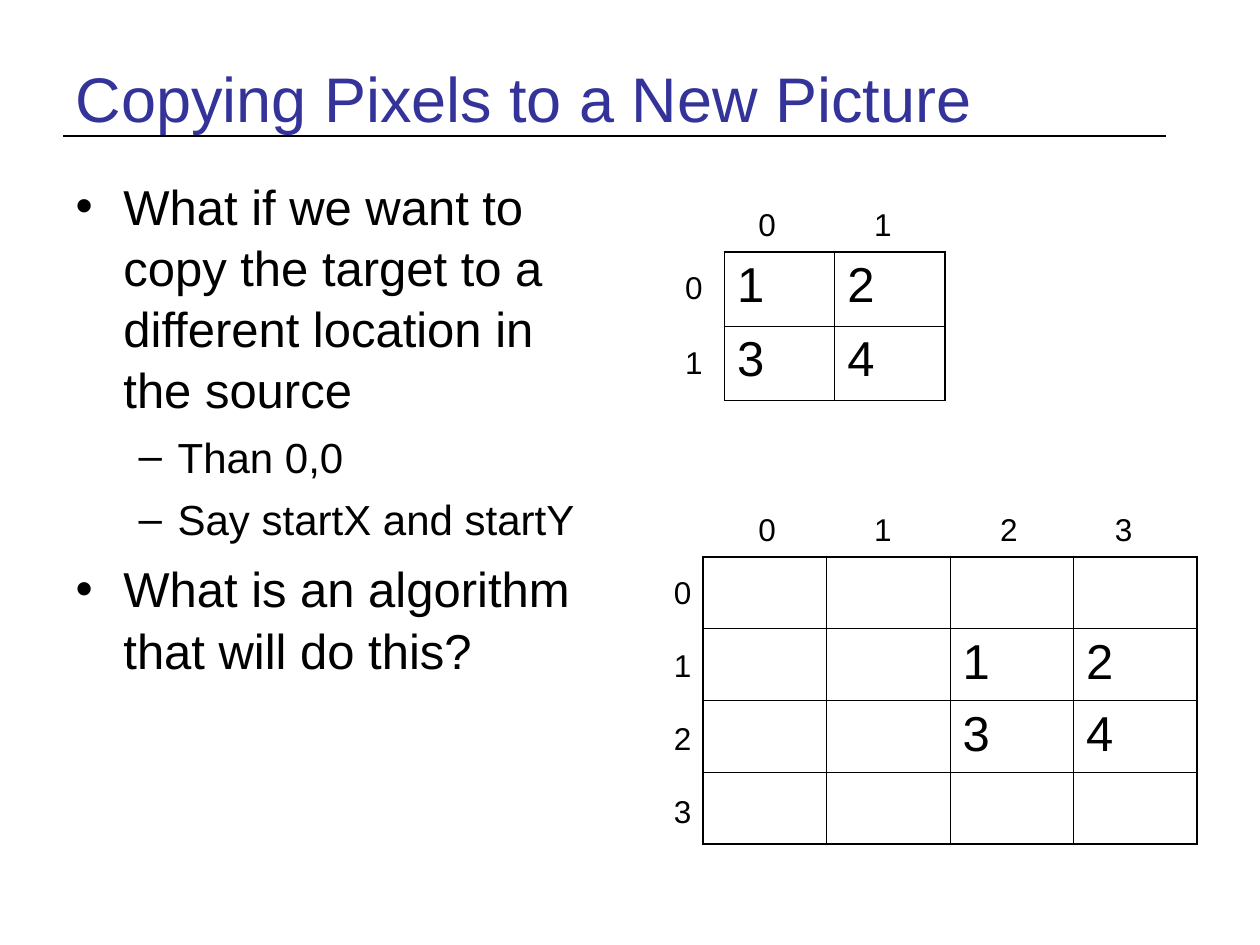
"""Build a slide on copying pixels to a new location."""
import dataclasses

import lxml.etree
import pptx
import pptx.dml.color
import pptx.enum.shapes
import pptx.enum.text
import pptx.oxml.ns
import pptx.util

Inches = pptx.util.Inches
qn = pptx.oxml.ns.qn
BLACK = "000000"
INNER, OUTER = 0.45, 1.08


@dataclasses.dataclass(frozen=True)
class Grid:
    left: float
    top: float
    cell_w: float
    cell_h: float
    rows: list[list[str]]
    col_label_xs: list[float]
    col_label_y: float
    row_label_x: float
    row_label_y: float
    row_label_step: float


@dataclasses.dataclass(frozen=True)
class Bullet:
    text: str
    level: int = 0


@dataclasses.dataclass(frozen=True)
class LevelStyle:
    size: int
    margin: float
    hanging: float
    space: int


GRIDS = [
    Grid(5.75, 2, 0.875, 0.59, [["1", "2"], ["3", "4"]],
         [5.92, 6.84], 1.58, 5.34, 2.08, 0.59),
    Grid(5.58, 4.42, 0.98, 0.57,
         [[""] * 4, ["", "", "1", "2"], ["", "", "3", "4"], [""] * 4],
         [5.92, 6.84, 7.84, 8.75], 4, 5.25, 4.5, 0.58),
]
LEVELS = [LevelStyle(28, 0.38, 0.38, 7), LevelStyle(24, 0.81, 0.31, 6)]
BULLETS = [
    Bullet("What if we want to copy the target to a different location in the source"),
    Bullet("Than 0,0", 1),
    Bullet("Say startX and startY", 1),
    Bullet("What is an algorithm that will do this?"),
]


def rgb(value: str) -> pptx.dml.color.RGBColor:
    return pptx.dml.color.RGBColor.from_string(value)


def apply(target, formats: dict) -> None:
    for name, value in formats.items():
        setattr(target, name, value)


def write(p, text: str, size: int, color: str = BLACK) -> None:
    r = p.add_run()
    r.text = text
    apply(r.font, {"name": "Arial", "size": pptx.util.Pt(size)})
    r.font.color.rgb = rgb(color)


def place(sp, left: float, top: float, width: float, height: float) -> None:
    apply(sp, {"left": Inches(left), "top": Inches(top),
               "width": Inches(width), "height": Inches(height)})


def add_title(s, text: str) -> None:
    sp = s.shapes.title
    place(sp, 0.5, 0.3, 9, 0.95)
    tf = sp.text_frame
    apply(tf, {"auto_size": pptx.enum.text.MSO_AUTO_SIZE.NONE,
               "vertical_anchor": pptx.enum.text.MSO_ANCHOR.MIDDLE})
    p = tf.paragraphs[0]
    p.alignment = pptx.enum.text.PP_ALIGN.LEFT
    write(p, text, 36, "333399")


def add_rule(s) -> None:
    sp = s.shapes.add_connector(pptx.enum.shapes.MSO_CONNECTOR.STRAIGHT,
                                Inches(0.5), Inches(1.08), Inches(9.25), Inches(1.08))
    sp.line.color.rgb = rgb(BLACK)
    sp.line.width = pptx.util.Pt(1.5)
    lxml.etree.SubElement(sp._element.spPr, qn("a:effectLst"))


def add_bullets(s, bullets: list[Bullet]) -> None:
    sp = s.placeholders[1]
    place(sp, 0.5, 1.33, 4.42, 5.37)
    tf = sp.text_frame
    tf.auto_size = pptx.enum.text.MSO_AUTO_SIZE.NONE
    for i, bullet in enumerate(bullets):
        p = tf.add_paragraph() if i else tf.paragraphs[0]
        style = LEVELS[bullet.level]
        apply(p, {"level": bullet.level, "line_spacing": 1.04,
                  "space_before": pptx.util.Pt(style.space if i else 0)})
        pPr = p._p.get_or_add_pPr()
        pPr.set("marL", str(Inches(style.margin)))
        pPr.set("indent", str(-Inches(style.hanging)))
        write(p, bullet.text, style.size)


def set_borders(cell, widths: dict[str, float]) -> None:
    tcPr = cell._tc.get_or_add_tcPr()
    for side, width in widths.items():
        ln = lxml.etree.SubElement(tcPr, qn(f"a:ln{side}"), w=str(pptx.util.Pt(width)))
        fill = lxml.etree.SubElement(ln, qn("a:solidFill"))
        lxml.etree.SubElement(fill, qn("a:srgbClr"), val=BLACK)


def add_label(s, text: str, left: float, top: float) -> None:
    sp = s.shapes.add_textbox(Inches(left), Inches(top), Inches(0.34), Inches(0.4))
    tf = sp.text_frame
    apply(tf, {"word_wrap": False,
               "auto_size": pptx.enum.text.MSO_AUTO_SIZE.SHAPE_TO_FIT_TEXT})
    write(tf.paragraphs[0], text, 18)


def add_grid(s, grid: Grid) -> None:
    n_rows, n_cols = len(grid.rows), len(grid.rows[0])
    table = s.shapes.add_table(n_rows, n_cols, Inches(grid.left), Inches(grid.top),
                               Inches(grid.cell_w * n_cols),
                               Inches(grid.cell_h * n_rows)).table
    apply(table, {"first_row": False, "horz_banding": False})
    for i, row in enumerate(grid.rows):
        for j, text in enumerate(row):
            cell = table.cell(i, j)
            edges = {"L": j == 0, "R": j == n_cols - 1,
                     "T": i == 0, "B": i == n_rows - 1}
            set_borders(cell, {k: OUTER if edge else INNER for k, edge in edges.items()})
            cell.fill.background()
            if text:
                write(cell.text_frame.paragraphs[0], text, 28)
    for j, x in enumerate(grid.col_label_xs):
        add_label(s, str(j), x, grid.col_label_y)
    for i in range(n_rows):
        add_label(s, str(i), grid.row_label_x, grid.row_label_y + i * grid.row_label_step)


def main() -> None:
    prs = pptx.Presentation()
    apply(prs, {"slide_width": Inches(10), "slide_height": Inches(7.5)})
    s = prs.slides.add_slide(prs.slide_layouts[1])
    add_rule(s)
    add_title(s, "Copying Pixels to a New Picture")
    add_bullets(s, BULLETS)
    for grid in GRIDS:
        add_grid(s, grid)
    prs.save("out.pptx")


if __name__ == "__main__":
    main()
